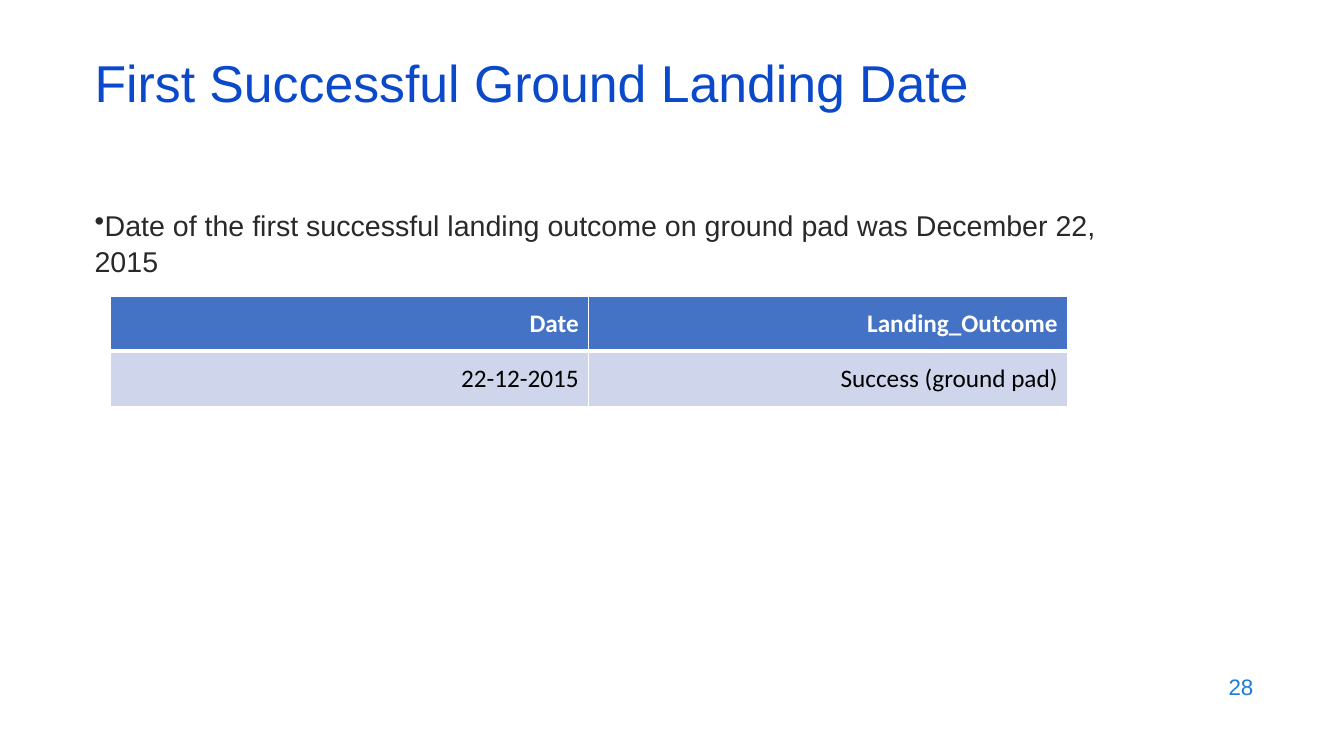
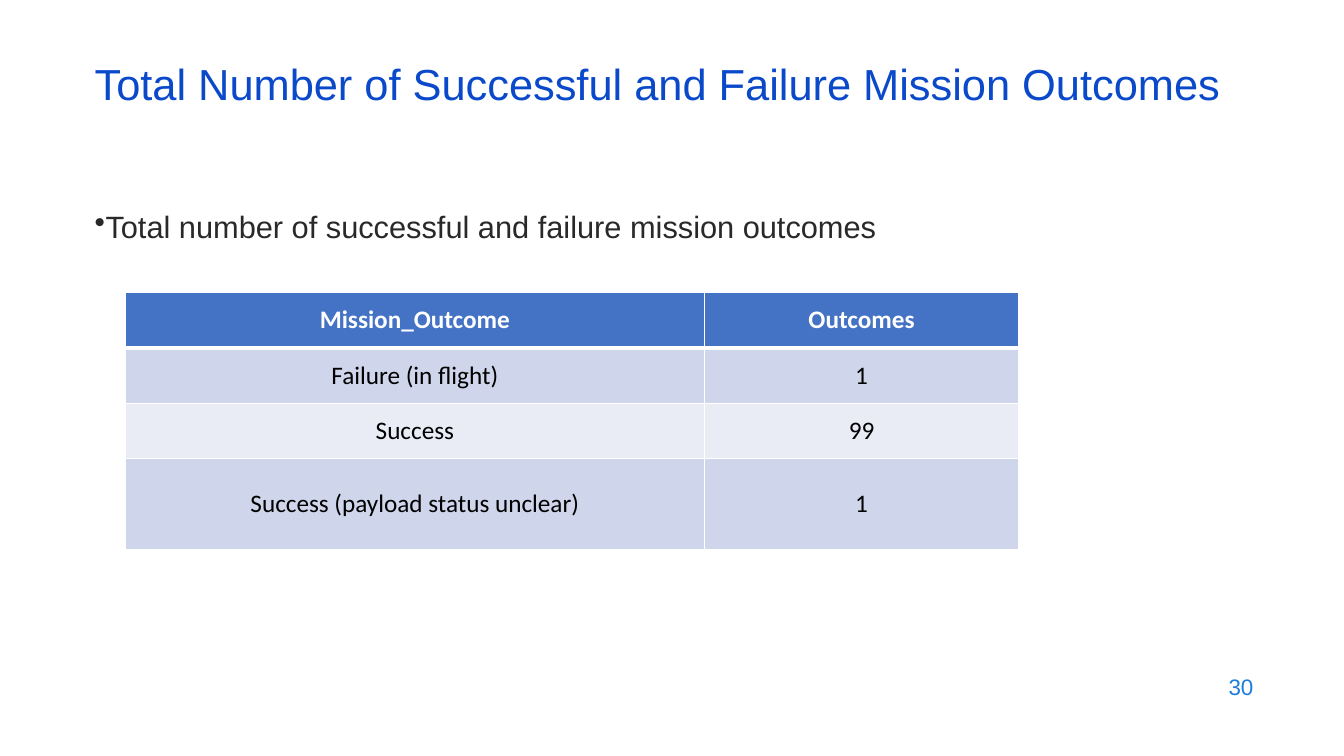
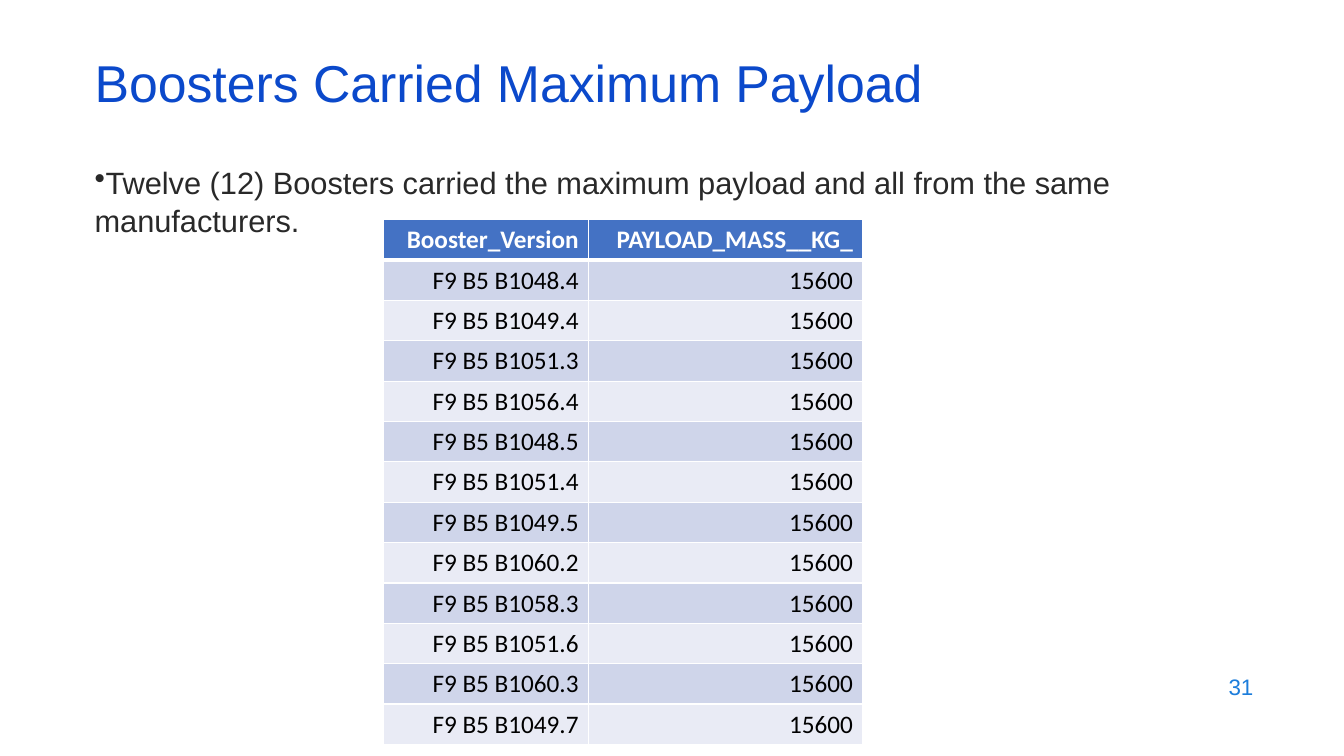
from dataclasses import dataclass

from lxml.etree import SubElement
from pptx import Presentation
from pptx.dml.color import RGBColor
from pptx.enum.text import MSO_ANCHOR, PP_ALIGN
from pptx.oxml.ns import qn
from pptx.util import Inches, Pt


@dataclass(frozen=True)
class Theme:
    """Colours, fonts and type sizes shared by the slides."""

    background: str = "FFFFFF"
    title: str = "0B49CB"
    body: str = "292929"
    page_number: str = "1C7DDB"
    header_fill: str = "4472C4"
    header_text: str = "FFFFFF"
    cell_text: str = "000000"
    border: str = "FFFFFF"
    bands: tuple = ("CFD5EA", "E9EBF5")
    text_font: str = "Arial"
    table_font: str = "Calibri"
    title_size: float = 37
    long_title_size: float = 31
    body_size: float = 22
    small_body_size: float = 20.4
    table_size: float = 18
    page_number_size: float = 16
    thin: float = 1
    thick: float = 3


THEME = Theme()


def add_run(paragraph, text, size, colour, font_name=THEME.text_font, bold=False):
    """Append one styled run to a paragraph."""
    run = paragraph.add_run()
    run.text = text
    run.font.name = font_name
    run.font.size = Pt(size)
    run.font.bold = bold
    run.font.color.rgb = RGBColor.from_string(colour)


def add_text_area(slide, left, top, width, height, anchor=MSO_ANCHOR.MIDDLE):
    """Add a wrapping text box and return its first paragraph."""
    frame = slide.shapes.add_textbox(
        Inches(left), Inches(top), Inches(width), Inches(height)
    ).text_frame
    frame.word_wrap = True
    frame.vertical_anchor = anchor
    return frame.paragraphs[0]


def add_page_number(slide, number):
    """Write the page number at the lower right."""
    paragraph = add_text_area(slide, 9.53, 6.59, 3, 0.44)
    paragraph.alignment = PP_ALIGN.RIGHT
    add_run(paragraph, str(number), THEME.page_number_size, THEME.page_number)


def add_title(slide, title, size):
    """Write the slide title."""
    paragraph = add_text_area(slide, 0.84, 0.59, 11.5, 0.6)
    paragraph.line_spacing = 0.7
    add_run(paragraph, title, size, THEME.title)


def add_finding(slide, finding, size, top, height):
    """Write the bulleted finding above the table."""
    paragraph = add_text_area(slide, 0.84, top, 10.66, height, MSO_ANCHOR.TOP)
    properties = paragraph._p.get_or_add_pPr()
    properties.set("marL", "0")
    properties.set("indent", "0")
    SubElement(properties, qn("a:buChar"), char="•")
    paragraph.line_spacing = 1.04
    add_run(paragraph, finding, size, THEME.body)


def set_borders(cell, top, bottom):
    """Draw the four borders of a cell, with side borders thin."""
    properties = cell._tc.get_or_add_tcPr()
    widths = {"lnL": THEME.thin, "lnR": THEME.thin, "lnT": top, "lnB": bottom}
    for side, width in widths.items():
        line = SubElement(properties, qn(f"a:{side}"), w=str(Pt(width)))
        fill = SubElement(line, qn("a:solidFill"))
        SubElement(fill, qn("a:srgbClr"), val=THEME.border)


def fill_cell(cell, text, row_index, alignment):
    """Style and write one cell according to its row."""
    is_header = row_index == 0
    set_borders(
        cell,
        top=THEME.thick if row_index == 1 else THEME.thin,
        bottom=THEME.thick if is_header else THEME.thin,
    )
    band = THEME.header_fill if is_header else THEME.bands[(row_index - 1) % 2]
    cell.fill.solid()
    cell.fill.fore_color.rgb = RGBColor.from_string(band)
    cell.vertical_anchor = MSO_ANCHOR.MIDDLE
    paragraph = cell.text_frame.paragraphs[0]
    paragraph.alignment = alignment
    colour = THEME.header_text if is_header else THEME.cell_text
    add_run(paragraph, text, THEME.table_size, colour, THEME.table_font, is_header)


def add_result_table(slide, records, left, top, widths, heights, alignment):
    """Add a banded table of query results."""
    table = slide.shapes.add_table(
        len(records), len(widths), Inches(left), Inches(top),
        Inches(sum(widths)), Inches(sum(heights)),
    ).table
    for column, width in zip(table.columns, widths):
        column.width = Inches(width)
    for row_index, (record, height) in enumerate(zip(records, heights)):
        table.rows[row_index].height = Inches(height)
        for column_index, text in enumerate(record):
            fill_cell(table.cell(row_index, column_index), text, row_index, alignment)


def add_result_slide(deck, number, title, title_size=THEME.title_size):
    """Add a slide with its background, page number and title."""
    slide = deck.slides.add_slide(deck.slide_layouts[6])
    slide.background.fill.solid()
    slide.background.fill.fore_color.rgb = RGBColor.from_string(THEME.background)
    add_page_number(slide, number)
    add_title(slide, title, title_size)
    return slide


def main():
    """Build and save the deck."""
    deck = Presentation()
    deck.slide_width, deck.slide_height = Inches(13.33), Inches(7.5)

    landing = add_result_slide(deck, 28, "First Successful Ground Landing Date")
    add_finding(
        landing,
        "Date of the first successful landing outcome on ground pad was December 22, 2015",
        THEME.small_body_size, top=2, height=0.7,
    )
    landing_records = [
        ("Date", "Landing_Outcome"),
        ("22-12-2015", "Success (ground pad)"),
    ]
    add_result_table(
        landing, landing_records, 1.09, 2.94, (4.75, 4.75), (0.54, 0.55), PP_ALIGN.RIGHT
    )

    missions = add_result_slide(
        deck, 30, "Total Number of Successful and Failure Mission Outcomes",
        THEME.long_title_size,
    )
    add_finding(
        missions, "Total number of successful and failure mission outcomes",
        THEME.body_size, top=2, height=0.6,
    )
    mission_records = [
        ("Mission_Outcome", "Outcomes"),
        ("Failure (in flight)", "1"),
        ("Success", "99"),
        ("Success (payload status unclear)", "1"),
    ]
    add_result_table(
        missions, mission_records, 1.24, 2.9, (5.75, 3.11),
        (0.55, 0.55, 0.55, 0.9), PP_ALIGN.CENTER,
    )

    boosters = add_result_slide(deck, 31, "Boosters Carried Maximum Payload")
    add_finding(
        boosters,
        "Twelve (12) Boosters carried the maximum payload and all from the same manufacturers.",
        THEME.body_size, top=1.56, height=0.97,
    )
    serials = (
        "1048.4", "1049.4", "1051.3", "1056.4", "1048.5", "1051.4",
        "1049.5", "1060.2", "1058.3", "1051.6", "1060.3", "1049.7",
    )
    booster_records = [("Booster_Version", "PAYLOAD_MASS__KG_")]
    booster_records += [(f"F9 B5 B{serial}", "15600") for serial in serials]
    add_result_table(
        boosters, booster_records, 3.8, 2.18, (2.04, 2.72),
        [0.4] * len(booster_records), PP_ALIGN.RIGHT,
    )

    deck.save("out.pptx")


if __name__ == "__main__":
    main()
